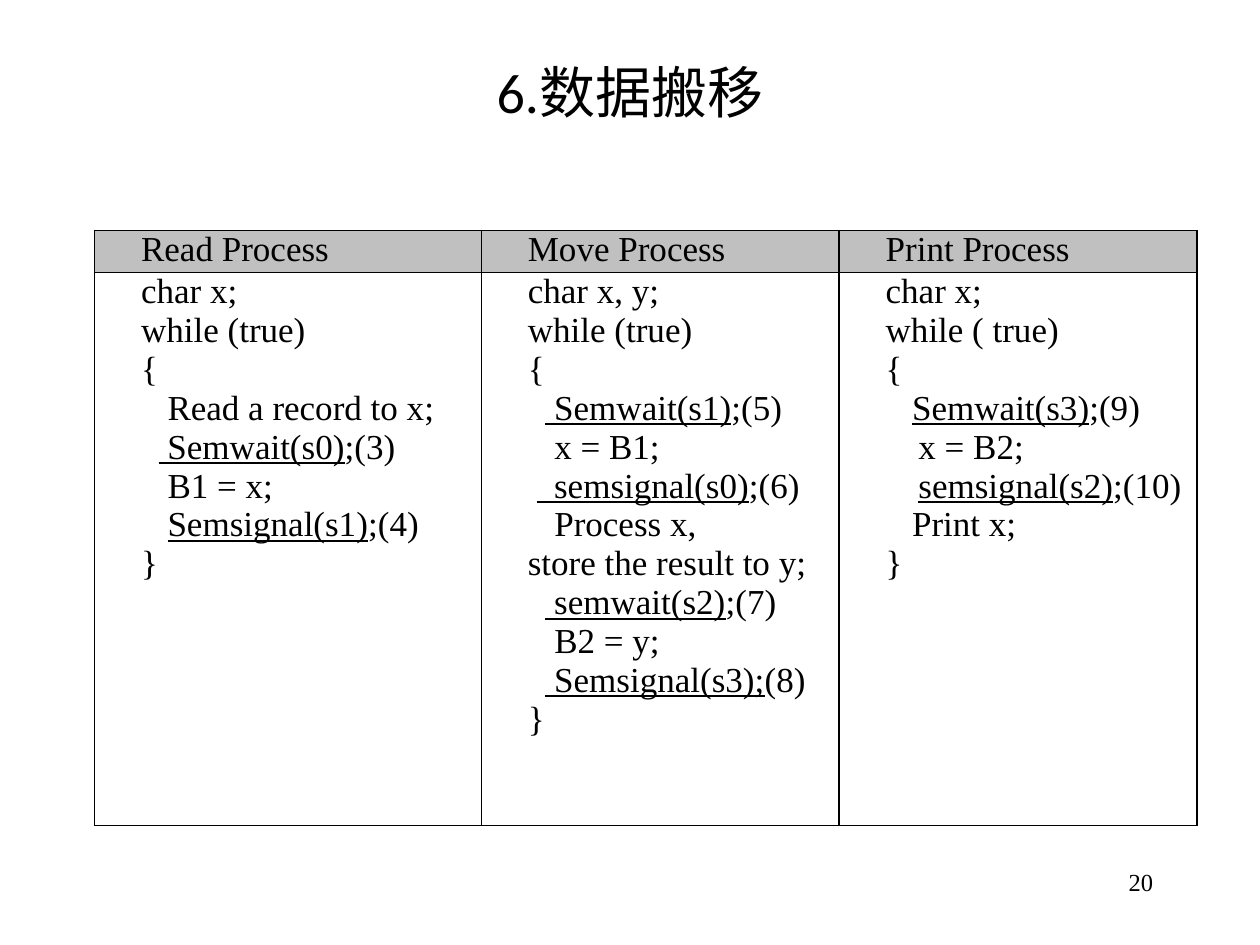
from lxml import etree
from pptx import Presentation
from pptx.dml.color import RGBColor
from pptx.enum.text import MSO_ANCHOR, PP_ALIGN
from pptx.oxml.ns import qn
from pptx.util import Inches, Pt

BLACK = RGBColor(0x00, 0x00, 0x00)
WHITE = RGBColor(0xFF, 0xFF, 0xFF)
SILVER = RGBColor(0xC0, 0xC0, 0xC0)
CENTER, RIGHT = PP_ALIGN.CENTER, PP_ALIGN.RIGHT
TOP, MIDDLE = MSO_ANCHOR.TOP, MSO_ANCHOR.MIDDLE

SERIF = "Times New Roman"
COLUMN_WIDTHS = (3.07, 2.84, 2.84)
ROW_HEIGHTS = (0.33, 4.39)
BASE_INDENT = 0.3
EDGES = ("a:lnL", "a:lnR", "a:lnT", "a:lnB")

# Each code line: extra indent in inches, plain text, underlined text, plain tail.
PROCESSES = {
    "Read Process": [
        (0, "char x;"),
        (0, "while (true)"),
        (0, "{"),
        (0.21, "Read a record to x;"),
        (0.14, "", " Semwait(s0)", ";(3)"),
        (0.21, "B1 = x;"),
        (0.21, "", "Semsignal(s1)", ";(4)"),
        (0, "}"),
    ],
    "Move Process": [
        (0, "char x, y;"),
        (0, "while (true)"),
        (0, "{"),
        (0.14, "", " Semwait(s1)", ";(5)"),
        (0.21, "x = B1;"),
        (0.07, "", "  semsignal(s0)", ";(6)"),
        (0.21, "Process x,"),
        (0, "store the result to y;"),
        (0.14, "", " semwait(s2)", ";(7)"),
        (0.21, "B2 = y;"),
        (0.14, "", " Semsignal(s3);", "(8)"),
        (0, "}"),
    ],
    "Print Process": [
        (0, "char x;"),
        (0, "while ( true)"),
        (0, "{"),
        (0.21, "", "Semwait(s3)", ";(9)"),
        (0.26, "x = B2;"),
        (0.26, "", "semsignal(s2)", ";(10)"),
        (0.21, "Print x;"),
        (0, "}"),
    ],
}


def add_text(paragraph, text, font=SERIF, size=20, underline=False, align=None):
    if align is not None:
        paragraph.alignment = align
    run = paragraph.add_run()
    run.text = text
    run.font.name = font
    run.font.size = Pt(size)
    run.font.underline = underline
    run.font.color.rgb = BLACK


def place_title(slide, left, top, width, height):
    title = slide.shapes.title
    title.left, title.top = Inches(left), Inches(top)
    title.width, title.height = Inches(width), Inches(height)
    title.text_frame.vertical_anchor = MIDDLE
    add_text(title.text_frame.paragraphs[0], "6.数据搬移",
             font="Calibri", size=32, align=CENTER)


def draw_borders(cell):
    properties = cell._tc.get_or_add_tcPr()
    for position, edge in enumerate(EDGES):
        line = etree.Element(qn(edge), w=str(Pt(1)))
        fill = etree.SubElement(line, qn("a:solidFill"))
        etree.SubElement(fill, qn("a:srgbClr"), val=str(BLACK))
        properties.insert(position, line)


def fill_cell(cell, lines, background):
    cell.fill.solid()
    cell.fill.fore_color.rgb = background
    cell.margin_left = cell.margin_right = Inches(0.07)
    cell.margin_top = cell.margin_bottom = 0
    cell.vertical_anchor = TOP
    draw_borders(cell)
    frame = cell.text_frame
    for number, (indent, *parts) in enumerate(lines):
        paragraph = frame.add_paragraph() if number else frame.paragraphs[0]
        properties = paragraph._p.get_or_add_pPr()
        properties.set("marL", str(Inches(0.01)))
        properties.set("indent", str(Inches(BASE_INDENT - 0.01 + indent)))
        for position, part in enumerate(parts):
            if part:
                add_text(paragraph, part, underline=position == 1)


def place_processes(slide, left, top, width, height):
    table = slide.shapes.add_table(
        len(ROW_HEIGHTS), len(PROCESSES),
        Inches(left), Inches(top), Inches(width), Inches(height)).table
    for row, row_height in zip(table.rows, ROW_HEIGHTS):
        row.height = Inches(row_height)
    for column, (name, code) in enumerate(PROCESSES.items()):
        table.columns[column].width = Inches(COLUMN_WIDTHS[column])
        fill_cell(table.cell(0, column), [(0, name)], SILVER)
        fill_cell(table.cell(1, column), code, WHITE)


def place_page_number(slide, left, top, width, height):
    page_number = slide.shapes.add_textbox(
        Inches(left), Inches(top), Inches(width), Inches(height))
    page_number.text_frame.word_wrap = True
    add_text(page_number.text_frame.paragraphs[0], "20", size=14, align=RIGHT)


def main():
    deck = Presentation()
    deck.slide_width, deck.slide_height = Inches(10), Inches(7.5)
    slide = deck.slides.add_slide(deck.slide_layouts[5])
    place_page_number(slide, 7.17, 6.83, 2.08, 0.5)
    place_title(slide, 0, 0.3, 10, 0.85)
    place_processes(slide, 0.75, 1.83, sum(COLUMN_WIDTHS), sum(ROW_HEIGHTS))
    deck.save("out.pptx")


if __name__ == "__main__":
    main()
